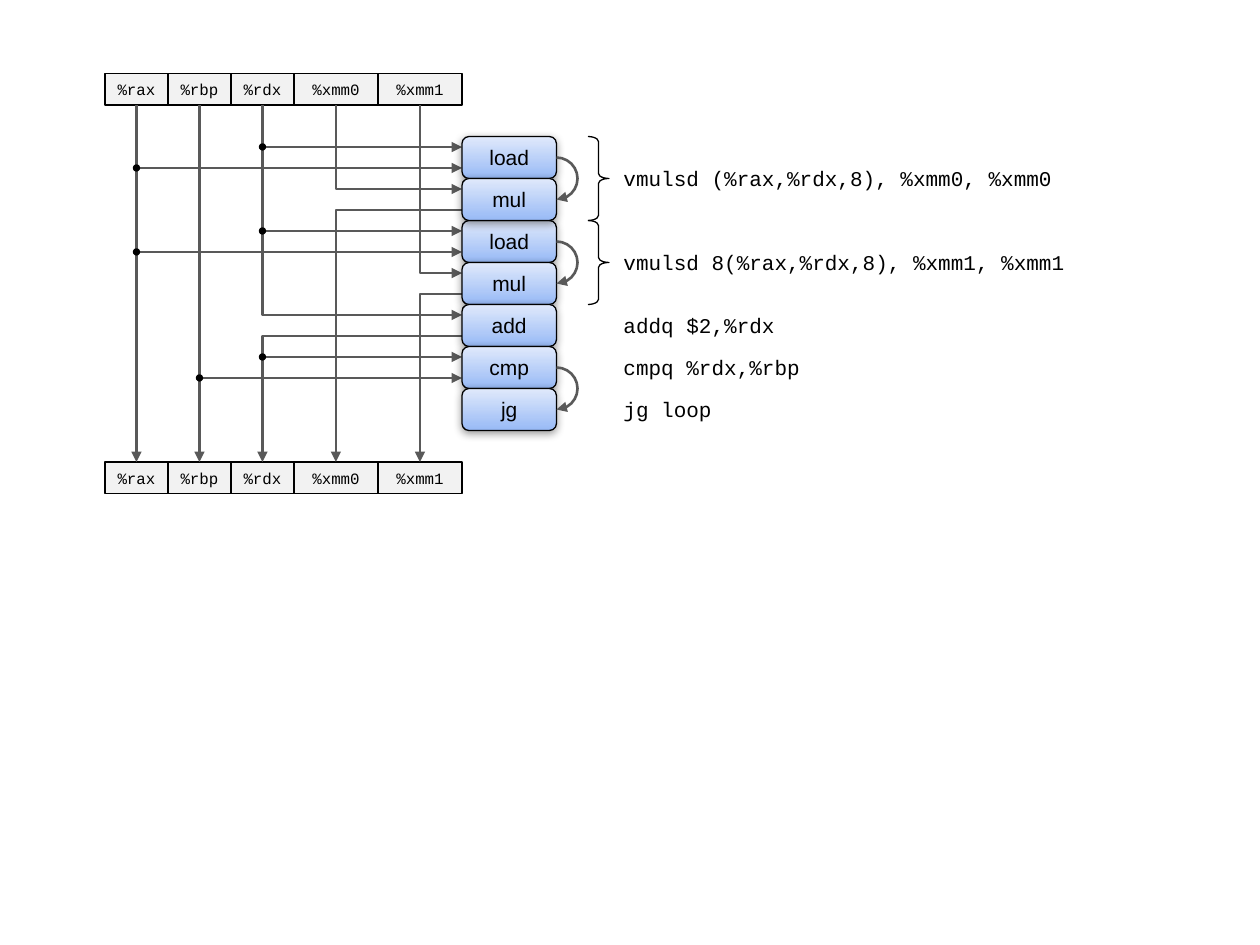
import dataclasses
import itertools

import pptx
import pptx.dml.color
import pptx.enum.shapes
import pptx.enum.text
import pptx.oxml
import pptx.oxml.ns
import pptx.util

MSO = pptx.enum.shapes.MSO_SHAPE
ELBOW = pptx.enum.shapes.MSO_CONNECTOR.ELBOW
STRAIGHT = pptx.enum.shapes.MSO_CONNECTOR.STRAIGHT
ALIGN = pptx.enum.text.PP_ALIGN
NS = pptx.oxml.ns.nsdecls("a")

COLORS = {"ink": "000000", "wire": "595959", "register": "F2F2F2",
          "op_bottom": "98BAF6", "op_top": "E0E9FB"}
REGISTER_FONT = {"name": "Courier New", "size": pptx.util.Pt(9)}
CODE_FONT = {"name": "Courier New", "size": pptx.util.Pt(12)}
OP_FONT = {"name": "Arial", "size": pptx.util.Pt(12)}

# The slide is a grid of 120 columns by 90 rows
deck = pptx.Presentation()
deck.slide_width = pptx.util.Inches(10)
deck.slide_height = pptx.util.Inches(7.5)
CELL = deck.slide_width / 120
slide = deck.slides.add_slide(deck.slide_layouts[6])

OPS_LEFT, OPS_TOP, OP_WIDTH, OP_HEIGHT = 44, 13, 9, 4
TOP_ROW, BOTTOM_ROW, REGISTER_HEIGHT = 7, 44, 3


@dataclasses.dataclass
class Register:
    name: str
    width: float
    left: float = 0

    @property
    def center(self) -> float:
        return self.left + self.width / 2


@dataclasses.dataclass
class Instruction:
    code: str
    row: float
    width: float


def grid(value: float) -> int:
    return round(value * CELL)


def rgb(name: str) -> pptx.dml.color.RGBColor:
    return pptx.dml.color.RGBColor.from_string(COLORS[name])


def draw_shape(kind, left: float, top: float, width: float, height: float,
               fill: str = "", line: str = "", weight: float = 0.75):
    shape = slide.shapes.add_shape(kind, *map(grid, (left, top, width, height)))
    shape.shadow.inherit = False
    if fill:
        shape.fill.solid()
        shape.fill.fore_color.rgb = rgb(fill)
    else:
        shape.fill.background()
    if line:
        shape.line.color.rgb = rgb(line)
        shape.line.width = pptx.util.Pt(weight)
    else:
        shape.line.fill.background()
    return shape


def write(shape, text: str, font: dict, align=ALIGN.CENTER, inset: float = 0) -> None:
    frame = shape.text_frame
    frame_format = {"word_wrap": True, "margin_left": pptx.util.Inches(inset),
                    "margin_right": 0, "margin_top": 0, "margin_bottom": 0,
                    "vertical_anchor": pptx.enum.text.MSO_ANCHOR.MIDDLE}
    for key, value in frame_format.items():
        setattr(frame, key, value)
    paragraph = frame.paragraphs[0]
    paragraph.text = text
    paragraph.alignment = align
    for key, value in font.items():
        setattr(paragraph.font, key, value)
    paragraph.font.color.rgb = rgb("ink")


def add_arrowhead(item) -> None:
    item.line.color.rgb = rgb("wire")
    item.line.width = pptx.util.Pt(1.5)
    outline = item._element.spPr.find(pptx.oxml.ns.qn("a:ln"))
    outline.append(pptx.oxml.parse_xml(f'<a:tailEnd {NS} type="triangle"/>'))


def draw_wire(kind, x1: float, y1: float, x2: float, y2: float):
    wire = slide.shapes.add_connector(kind, *map(grid, (x1, y1, x2, y2)))
    add_arrowhead(wire)
    properties = wire._element.spPr
    properties.append(pptx.oxml.parse_xml(f"<a:effectLst {NS}/>"))
    if kind == ELBOW:
        geometry = properties.find(pptx.oxml.ns.qn("a:prstGeom"))
        if x2 > x1:  # down, then right
            values = geometry.find(pptx.oxml.ns.qn("a:avLst"))
            values.append(pptx.oxml.parse_xml(f'<a:gd {NS} name="adj1" fmla="val 0"/>'))
        else:  # left, then down
            geometry.set("prst", "bentConnector2")
    return wire


def draw_register(register: Register, top: float):
    box = draw_shape(MSO.RECTANGLE, register.left, top, register.width,
                     REGISTER_HEIGHT, "register", "ink", 1)
    write(box, register.name, REGISTER_FONT)
    return box


def draw_op(name: str, top: float) -> None:
    box = draw_shape(MSO.ROUNDED_RECTANGLE, OPS_LEFT, top, OP_WIDTH, OP_HEIGHT, line="ink")
    box.fill.gradient()
    box.fill.gradient_angle = 90
    for stop, position, color in zip(box.fill.gradient_stops, (0, 1), ("op_bottom", "op_top")):
        stop.position = position
        stop.color.rgb = rgb(color)
    box._element.spPr.find(pptx.oxml.ns.qn("a:effectLst")).append(pptx.oxml.parse_xml(
        f'<a:outerShdw {NS} blurRad="63500" dist="20000" dir="5400000" rotWithShape="0">'
        f'<a:srgbClr val="{COLORS["ink"]}"><a:alpha val="38000"/></a:srgbClr></a:outerShdw>'))
    write(box, name, OP_FONT)


# Registers before and after the loop body
registers = [Register("%rax", 6), Register("%rbp", 6), Register("%rdx", 6),
             Register("%xmm0", 8), Register("%xmm1", 8)]
offsets = itertools.accumulate((r.width for r in registers), initial=10)
for register, left in zip(registers, offsets):
    register.left = left
before = [draw_register(register, TOP_ROW) for register in registers]
after = [draw_register(register, BOTTOM_ROW) for register in registers]
rax, rbp, rdx, xmm0, xmm1 = (register.center for register in registers)
WIRE_TOP = TOP_ROW + REGISTER_HEIGHT

# Registers that pass straight through
for index in (0, 1):
    x = registers[index].center
    rail = draw_wire(STRAIGHT, x, WIRE_TOP, x, BOTTOM_ROW)
    rail.begin_connect(before[index], 2)
    rail.end_connect(after[index], 0)

# Values read by operations: column, start row, end row
for x, start, end in [(rax, WIRE_TOP, 16), (rax, 16, 24), (rdx, WIRE_TOP, 14),
                      (rdx, WIRE_TOP, 22), (rdx, 18, 30), (rdx, 32, 34),
                      (xmm0, WIRE_TOP, 18), (xmm1, WIRE_TOP, 26)]:
    draw_wire(ELBOW, x, start, OPS_LEFT, end)
draw_wire(STRAIGHT, rbp, 36, OPS_LEFT, 36)

# Values written back to registers
for x, row in [(xmm0, 20), (xmm1, 28), (rdx, 32)]:
    draw_wire(ELBOW, OPS_LEFT, row, x, BOTTOM_ROW)

# Junction dots
DOT = 0.7
for x, row in [(rdx, 14), (rax, 16), (rdx, 22), (rax, 24), (rdx, 34), (rbp, 36)]:
    draw_shape(MSO.OVAL, x - DOT / 2, row - DOT / 2, DOT, DOT, "ink")

# Operations, the first pair in front so its shadow falls on the next
ops = list(enumerate(["load", "mul", "load", "mul", "add", "cmp", "jg"]))
for index, name in ops[2:] + ops[:2]:
    draw_op(name, OPS_TOP + index * OP_HEIGHT)

# Arcs from one operation to the next
for row in (15, 23, 35):
    arc = draw_shape(MSO.ARC, 51, row, 4, 4, line="wire")
    arc.adjustments[0], arc.adjustments[1] = 162, 54  # 270 to 90 degrees
    add_arrowhead(arc)

# Braces and instructions
for row in (13, 21):
    brace = draw_shape(MSO.RIGHT_BRACE, 56, row, 2, 8, line="ink")
    brace.adjustments[0] = 0.24
for instruction in [Instruction("vmulsd (%rax,%rdx,8), %xmm0, %xmm0", 15, 46),
                    Instruction("vmulsd 8(%rax,%rdx,8), %xmm1, %xmm1", 23, 45),
                    Instruction("addq $2,%rdx", 29, 33),
                    Instruction("cmpq %rdx,%rbp", 33, 33),
                    Instruction("jg loop", 37, 33)]:
    label = draw_shape(MSO.ROUNDED_RECTANGLE, 58, instruction.row, instruction.width, OP_HEIGHT)
    write(label, instruction.code, CODE_FONT, ALIGN.LEFT, 0.1)

deck.save("out.pptx")
